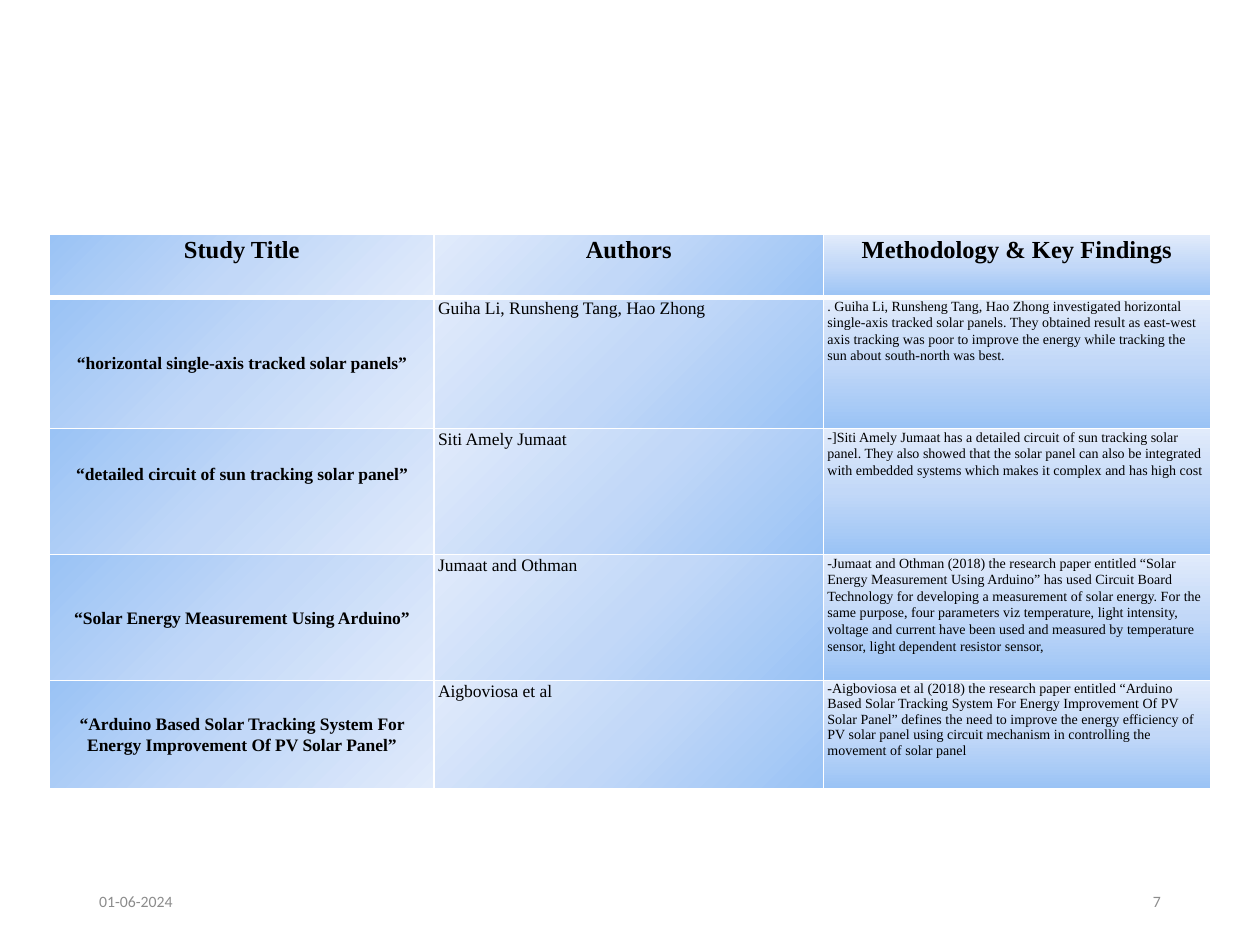
from lxml import etree
from pptx import Presentation
from pptx import util as u
from pptx.dml.color import RGBColor
from pptx.enum import text
from pptx.oxml.ns import qn

SERIF, SANS = "Times New Roman", "Calibri"
BLUES = ((0, "9AC3F5"), (50, "C2D8F8"), (100, "E1EBFB"))
COLUMN_ANGLES = (45, 225, 270)
COLUMN_WIDTHS = (7.75, 7.85, 7.8)
ROW_HEIGHTS = (1.27, 2.64, 2.54, 2.54, 2.18)
CENTER, LEFT, RIGHT = (text.PP_ALIGN.CENTER, text.PP_ALIGN.LEFT,
                       text.PP_ALIGN.RIGHT)

HEADINGS = ("Study Title", "Authors", "Methodology & Key Findings")
STUDIES = (
    ("“horizontal single-axis tracked solar panels”",
     "Guiha Li, Runsheng Tang, Hao Zhong",
     ". Guiha Li, Runsheng Tang, Hao Zhong investigated horizontal "
     "single-axis tracked solar panels. They obtained result as east-west "
     "axis tracking was poor to improve the energy while tracking the sun "
     "about south-north was best."),
    ("“detailed circuit of sun tracking solar panel”",
     "Siti Amely Jumaat",
     "-]Siti Amely Jumaat has a detailed circuit of sun tracking solar panel. "
     "They also showed that the solar panel can also be integrated with "
     "embedded systems which makes it complex and has high cost"),
    ("“Solar Energy Measurement Using Arduino”",
     "Jumaat and Othman",
     "-Jumaat and Othman (2018) the research paper entitled “Solar Energy "
     "Measurement Using Arduino” has used Circuit Board Technology for "
     "developing a measurement of solar energy. For the same purpose, four "
     "parameters viz temperature, light intensity, voltage and current have "
     "been used and measured by temperature sensor, light dependent resistor "
     "sensor,"),
    ("“Arduino Based Solar Tracking System For Energy Improvement Of PV "
     "Solar Panel”",
     "Aigboviosa et al",
     "-Aigboviosa et al (2018) the research paper entitled “Arduino Based "
     "Solar Tracking System For Energy Improvement Of PV Solar Panel” defines "
     "the need to improve the energy efficiency of PV solar panel using "
     "circuit mechanism in controlling the movement of solar panel"),
)


def rgb(value):
    return RGBColor.from_string(value)


def add_span(para, words, size, font, color, bold=False):
    span = para.add_run()
    span.text = words
    span.font.size = u.Pt(size)
    span.font.name = font
    span.font.bold = bold
    span.font.color.rgb = rgb(color)


def add_color(parent, value):
    etree.SubElement(parent, qn("a:srgbClr"), val=value)


def paint_cell(cell, angle, top_line, bottom_line):
    """Give white borders (widths in points) and a clockwise-angled gradient."""
    props = cell._tc.get_or_add_tcPr()
    sides = (("L", 1), ("R", 1), ("T", top_line), ("B", bottom_line))
    for side, width in sides:
        line = etree.SubElement(props, qn("a:ln" + side), w=str(u.Pt(width)))
        add_color(etree.SubElement(line, qn("a:solidFill")), "FFFFFF")
    gradient = etree.SubElement(props, qn("a:gradFill"), rotWithShape="1")
    stops = etree.SubElement(gradient, qn("a:gsLst"))
    for percent, color in BLUES:
        add_color(etree.SubElement(stops, qn("a:gs"), pos=str(percent * 1000)),
                  color)
    etree.SubElement(gradient, qn("a:lin"), ang=str(angle * 60000), scaled="0")


def write_cell(cell, words, size, bold, align, spaced=True):
    cell.margin_left = cell.margin_right = u.Cm(0.08)
    cell.margin_top = cell.margin_bottom = 0
    para = cell.text_frame.paragraphs[0]
    para.alignment = align
    if spaced:
        para.line_spacing = 1.07
        para.space_after = u.Pt(8)
    add_span(para, words, size, SERIF, "000000", bold)


def add_study_table(page, left, top):
    rows = (HEADINGS,) + STUDIES
    table = page.shapes.add_table(
        len(rows), len(HEADINGS), u.Cm(left), u.Cm(top),
        u.Cm(sum(COLUMN_WIDTHS)), u.Cm(sum(ROW_HEIGHTS))).table
    table.first_row = table.horz_banding = False
    for column, width in zip(table.columns, COLUMN_WIDTHS):
        column.width = u.Cm(width)
    for row, height in zip(table.rows, ROW_HEIGHTS):
        row.height = u.Cm(height)

    body_styles = ((10, True, CENTER), (10, False, LEFT), (8, False, LEFT))
    last_row = len(rows) - 1
    for r, row in enumerate(rows):
        for c, words in enumerate(row):
            cell = table.cell(r, c)
            size, bold, align = body_styles[c] if r else (14, True, CENTER)
            write_cell(cell, words, size, bold, align,
                       spaced=(r, c) != (last_row, 2))
            paint_cell(cell, COLUMN_ANGLES[c], 3 if r == 1 else 1,
                       3 if r == 0 else 1)
            if r and c == 0:
                cell.vertical_anchor = text.MSO_ANCHOR.MIDDLE

    circuit_title = table.cell(2, 0)
    circuit_title.vertical_anchor = text.MSO_ANCHOR.TOP
    circuit_title.margin_top = u.Cm(0.7)


def add_footer(page, left, top, width):
    box_width = 5.72
    parts = (("01-06-2024", left, LEFT),
             ("7", left + width - box_width, RIGHT))
    for words, x, align in parts:
        box = page.shapes.add_textbox(u.Cm(x), u.Cm(top), u.Cm(box_width),
                                      u.Cm(1.02))
        frame = box.text_frame
        frame.word_wrap = True
        frame.vertical_anchor = text.MSO_ANCHOR.MIDDLE
        para = frame.paragraphs[0]
        para.alignment = align
        add_span(para, words, 9, SANS, "8C8C8C")


def main():
    deck = Presentation()
    deck.slide_width, deck.slide_height = u.Cm(25.4), u.Cm(19.05)
    page = deck.slides.add_slide(deck.slide_layouts[6])
    add_footer(page, left=1.75, top=17.65, width=21.9)
    add_study_table(page, left=1, top=4.73)
    deck.save("out.pptx")


if __name__ == "__main__":
    main()
